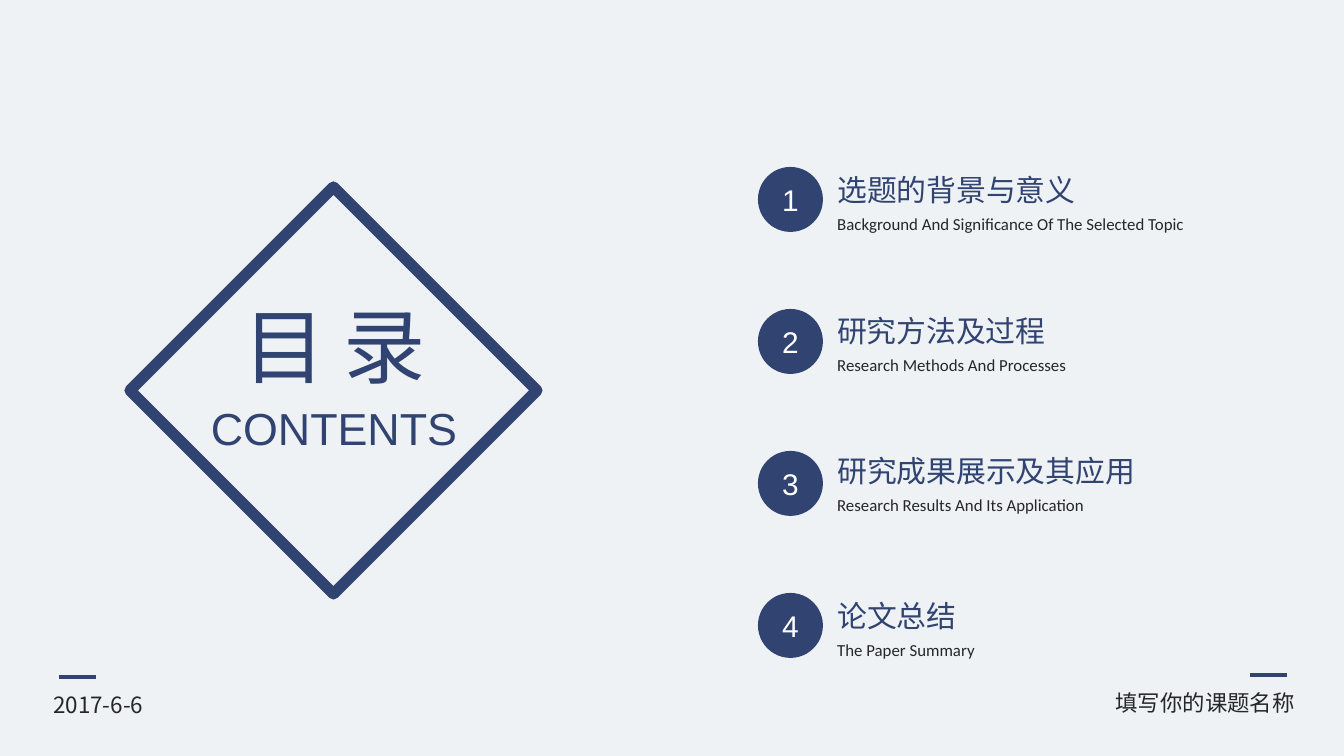
import lxml.etree
import pptx
import pptx.dml.color
import pptx.enum.shapes
import pptx.enum.text
import pptx.oxml.ns
import pptx.util

NAVY = pptx.dml.color.RGBColor(0x30, 0x43, 0x71)
DARK = pptx.dml.color.RGBColor(0x26, 0x26, 0x26)
PALE = pptx.dml.color.RGBColor(0xEE, 0xF2, 0xF5)
WHITE = pptx.dml.color.RGBColor(0xFF, 0xFF, 0xFF)
HAN = "Noto Sans CJK SC"
SHAPE = pptx.enum.shapes.MSO_SHAPE
ALIGN = pptx.enum.text.PP_ALIGN
SCALE = 914400 / 134.4
TOPICS = [
    (165, "选题的背景与意义", "Background And Significance Of The Selected Topic", 376),
    (306, "研究方法及过程", "Research Methods And Processes", 257),
    (446, "研究成果展示及其应用", "Research Results And Its Application", 274),
    (591, "论文总结", "The Paper Summary", 165),
]


def emu(*sizes):
    return [pptx.util.Emu(round(size * SCALE)) for size in sizes]


class Deck:
    """Draws styled elements on the current slide."""

    def __init__(self, width, height):
        self.show = pptx.Presentation()
        self.show.slide_width, self.show.slide_height = emu(width, height)
        self.slide = self.show.slides.add_slide(self.show.slide_layouts[6])
        fill = self.slide.background.fill
        fill.solid()
        fill.fore_color.rgb = PALE

    def label(self, frame, words, size, font, color, align):
        para = frame.paragraphs[0]
        para.text = words
        para.alignment = align
        para.font.size = pptx.util.Pt(size)
        para.font.name = font
        para.font.color.rgb = color
        style = para._p.pPr.find(pptx.oxml.ns.qn("a:defRPr"))
        lxml.etree.SubElement(style, pptx.oxml.ns.qn("a:ea"), typeface=font)

    def text(self, box, words, size, font=HAN, color=NAVY, align=ALIGN.LEFT):
        frame = self.slide.shapes.add_textbox(*emu(*box)).text_frame
        frame.word_wrap = False
        frame.auto_size = pptx.enum.text.MSO_AUTO_SIZE.SHAPE_TO_FIT_TEXT
        self.label(frame, words, size, font, color, align)

    def badge(self, box, words):
        disc = self.slide.shapes.add_shape(SHAPE.OVAL, *emu(*box))
        disc.shadow.inherit = False
        disc.fill.solid()
        disc.fill.fore_color.rgb = NAVY
        disc.line.fill.background()
        disc.text_frame.vertical_anchor = pptx.enum.text.MSO_ANCHOR.MIDDLE
        self.label(disc.text_frame, words, 16, "Arial", WHITE, ALIGN.CENTER)

    def diamond(self, box):
        frame = self.slide.shapes.add_shape(SHAPE.DIAMOND, *emu(*box))
        frame.shadow.inherit = False
        frame.fill.background()
        frame.line.color.rgb = NAVY
        frame.line.width = pptx.util.Pt(6)

    def dash(self, left, top):
        kind = pptx.enum.shapes.MSO_CONNECTOR.STRAIGHT
        line = self.slide.shapes.add_connector(kind, *emu(left, top, left + 37, top))
        line.line.color.rgb = NAVY
        line.line.width = pptx.util.Pt(2.25)
        props = line._element.spPr
        lxml.etree.SubElement(props, pptx.oxml.ns.qn("a:effectLst"))

    def topic(self, index, top, title, note, width):
        self.badge((758, 167 + 142 * index, 65, 65), str(index + 1))
        self.text((824, top, 30 * len(title) + 28, 50), title, 16)
        self.text((824, top + 42, width, 33), note, 9, "Calibri", DARK)


def main():
    deck = Deck(1344, 756)
    deck.diamond((130, 187, 407, 407))
    deck.text((226, 289, 217, 113), "目 录", 44, align=ALIGN.CENTER)
    deck.text((196, 394, 276, 67), "CONTENTS", 24, "Arial", align=ALIGN.CENTER)
    for index, topic in enumerate(TOPICS):
        deck.topic(index, *topic)
    deck.dash(59, 677)
    deck.text((40, 685, 126, 40), "2017-6-6", 12, color=DARK)
    deck.dash(1250, 675)
    deck.text((1100, 683, 208, 40), "填写你的课题名称", 12, color=DARK, align=ALIGN.RIGHT)
    deck.show.save("out.pptx")


if __name__ == "__main__":
    main()
